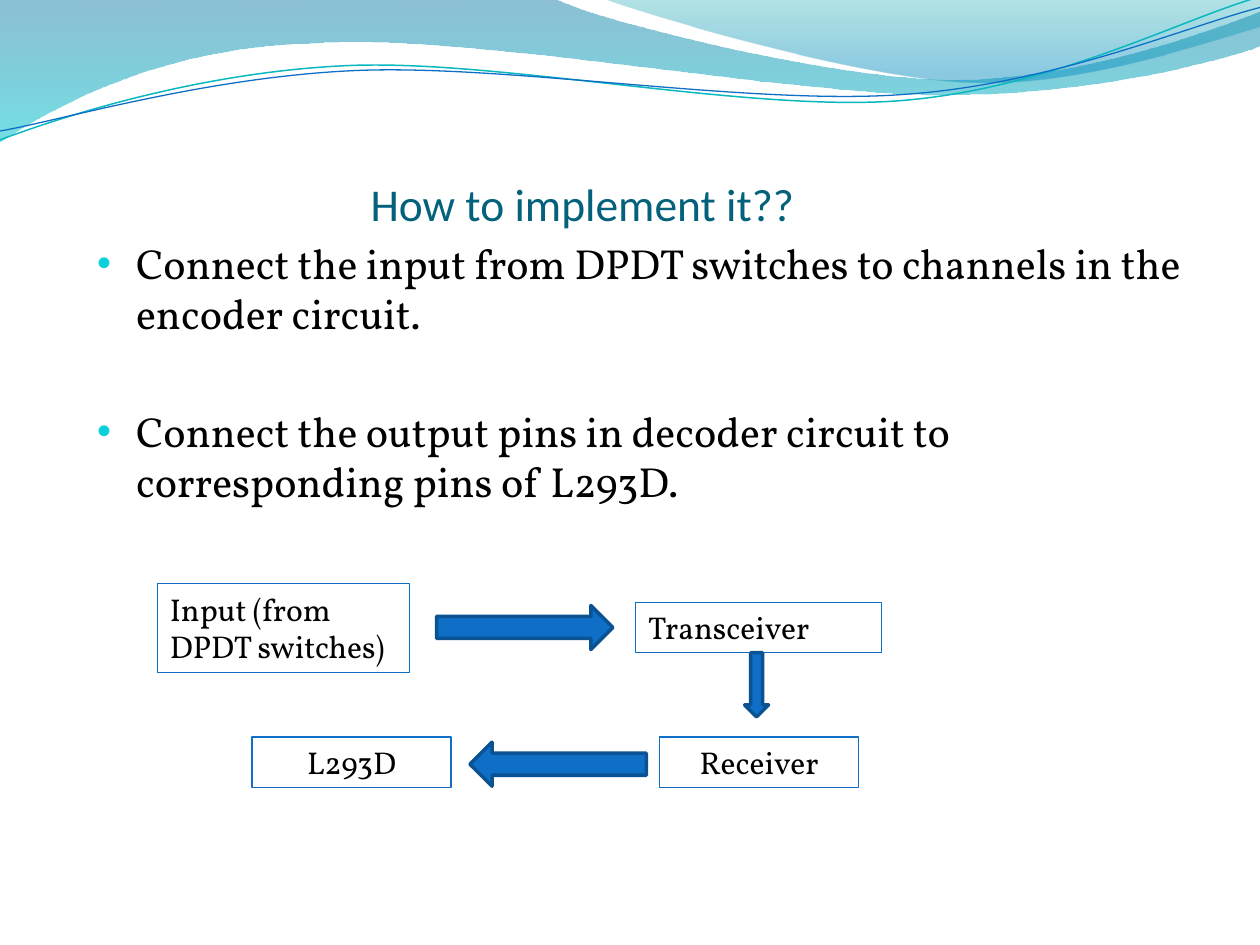
from math import cos, radians, sin

from lxml.etree import SubElement
from pptx import Presentation
from pptx.dml.color import RGBColor
from pptx.enum.shapes import MSO_SHAPE
from pptx.enum.text import MSO_ANCHOR, MSO_AUTO_SIZE, PP_ALIGN
from pptx.oxml.ns import qn
from pptx.util import Inches, Pt

COLORS = {
    "title": "04617B", "text": "000000", "bullet": "0BD0D9",
    "blue": "0F6FC6", "arrow_edge": "0B5292", "teal_line": "0AB8BF",
    "wave_top": "0074A1", "wave_bottom": "00C6CF",
    "sweep_top": "00A1A9", "sweep_bottom": "008BBF",
}
COLS = 200
CELL = Inches(10) // COLS  # square grid cell, 200 columns by 150 rows
TILT = 357.3

# Each path is a start point followed by lines (2 numbers) or Bézier curves (6), in inches.
WAVE = [(0, 0), (4.4, -0.01), (4.76, 0.17, 6.64, 0.63, 7.58, 0.63),
        (8.53, 0.63, 9.58, 0.26, 10, 0.09), (10.01, 0.36),
        (9.83, 0.44, 8.7, 0.76, 7.46, 0.75), (6.22, 0.75, 3.82, 0.28, 2.57, 0.34),
        (1.29, 0.36, 0.46, 0.83, -0.01, 1.13)]
SWEEP = [(4.79, -0.01), (5.09, 0.11, 6.82, 0.62, 7.69, 0.65),
         (8.56, 0.69, 9.61, 0.32, 10, 0.21), (10, 0)]
TEAL_CURVE = [(0, 1.11), (0.48, 0.93, 1.58, 0.57, 2.77, 0.52),
              (3.95, 0.47, 5.93, 0.89, 7.13, 0.8), (8.33, 0.71, 9.38, 0.15, 9.98, -0.02)]
BLUE_CURVE = [(0, 1.04), (0.47, 0.96, 1.64, 0.61, 2.83, 0.56),
              (4.03, 0.51, 5.97, 0.84, 7.17, 0.75), (8.36, 0.67, 9.41, 0.21, 10, 0.06)]


def rgb(name):
    return RGBColor.from_string(COLORS[name])


def grid(box, col, row, cols, rows):
    """Turn cells counted from the corner of box into left, top, width, height."""
    return [round(n * CELL) for n in (box[0] + col, box[1] + row, cols, rows)]


def turn(point, pivot, degrees):
    a = radians(degrees)
    x, y = point[0] - pivot[0], point[1] - pivot[1]
    return pivot[0] + x * cos(a) - y * sin(a), pivot[1] + x * sin(a) + y * cos(a)


def add_path(shapes, path, close=False, pivot=(0, 0), rotation=0):
    """Draw a path; a rotated one is laid out level first, then turned about pivot."""
    points = [turn(seg[i:i + 2], pivot, -rotation)
              for seg in path for i in range(0, len(seg), 2)]
    points = [(Inches(x), Inches(y)) for x, y in points]
    builder = shapes.build_freeform(*points[0], scale=1.0)
    builder.add_line_segments(points[1:], close=close)
    sp = builder.convert_to_shape()
    sp.shadow.inherit = False
    sp.rotation = rotation
    lines = iter(list(sp._element.iter(qn("a:lnTo"))))
    for seg in path[1:]:
        first = next(lines)
        if len(seg) == 6:
            first.tag = qn("a:cubicBezTo")
            for _ in range(2):
                extra = next(lines)
                first.append(extra[0])
                extra.getparent().remove(extra)
    return sp


def add_wave(slide, path, stops):
    """Draw a closed outline with a downward gradient of (position, colour, opacity %)."""
    sp = add_path(slide.shapes, path, close=True)
    sp.line.fill.background()
    sp.fill.gradient()
    sp.fill.gradient_angle = 270
    for stop, (position, color, _) in zip(sp.fill.gradient_stops, stops):
        stop.position = position
        stop.color.rgb = rgb(color)
    for gs, (_, _, opacity) in zip(sp._element.iter(qn("a:gs")), stops):
        SubElement(gs[0], qn("a:alpha"), val=str(opacity * 1000))


def add_banner(slide):
    add_wave(slide, WAVE, [(0, "wave_top", 45), (1, "wave_bottom", 55)])
    add_wave(slide, SWEEP, [(0, "sweep_top", 30), (0.8, "sweep_bottom", 45)])
    curves = slide.shapes.add_group_shape()
    for path, pivot, color, width in (
        (TEAL_CURVE, (4.99, 0.58), "teal_line", 0.85),
        (BLUE_CURVE, (5, 0.59), "blue", 0.75),
    ):
        sp = add_path(curves.shapes, path, pivot=pivot, rotation=TILT)
        sp.fill.background()
        set_line(sp, color, width)


def set_line(sp, color, width):
    sp.line.color.rgb = rgb(color)
    sp.line.width = Pt(width)


def write(p, text, size=18, font="Vollkorn", color="text", align=PP_ALIGN.LEFT):
    p.alignment = align
    r = p.add_run()
    r.text = text
    r.font.size = Pt(size)
    r.font.name = font
    r.font.color.rgb = rgb(color)


def set_insets(tf, left, top, right, bottom):
    tf.margin_left, tf.margin_top = Inches(left), Inches(top)
    tf.margin_right, tf.margin_bottom = Inches(right), Inches(bottom)


def add_title(slide, box):
    title = slide.shapes.title
    title.left, title.top, title.width, title.height = grid(box, 0, 0, *box[2:])
    tf = title.text_frame
    tf.vertical_anchor = MSO_ANCHOR.BOTTOM
    set_insets(tf, 0, 0.05, 0, 0)
    write(tf.paragraphs[0], "How to implement it??", size=26, font="Calibri",
          color="title", align=PP_ALIGN.CENTER)


def set_bullet(p):
    pPr = p._p.get_or_add_pPr()
    pPr.set("marL", str(Inches(0.31)))
    pPr.set("indent", str(-Inches(0.31)))
    bu_color = SubElement(pPr, qn("a:buClr"))
    SubElement(bu_color, qn("a:srgbClr"), val=COLORS["bullet"])
    SubElement(pPr, qn("a:buSzPct"), val="95000")
    SubElement(pPr, qn("a:buFont"), typeface="Arial")
    SubElement(pPr, qn("a:buChar"), char="•")


def add_steps(slide, box):
    tf = slide.shapes.add_textbox(*grid(box, 0, 0, *box[2:])).text_frame
    tf.word_wrap = True
    set_insets(tf, 0.02, 0.05, 0.02, 0.05)
    steps = (
        ("Connect the input from DPDT switches to channels in the encoder circuit.", 4.8),
        ("Connect the output pins in decoder circuit to corresponding pins of L293D.", 38.4),
    )
    for i, (text, gap) in enumerate(steps):
        p = tf.add_paragraph() if i else tf.paragraphs[0]
        p.space_before = Pt(gap)
        set_bullet(p)
        write(p, text, size=24)


def add_block(slide, place, text, align):
    sp = slide.shapes.add_shape(MSO_SHAPE.RECTANGLE, *place)
    sp.shadow.inherit = False
    sp.fill.background()
    set_line(sp, "blue", 0.75)
    tf = sp.text_frame
    tf.word_wrap = True
    tf.auto_size = MSO_AUTO_SIZE.SHAPE_TO_FIT_TEXT
    tf.vertical_anchor = MSO_ANCHOR.TOP
    write(tf.paragraphs[0], text, align=align)


def add_arrow(slide, place, kind, rotation=0):
    sp = slide.shapes.add_shape(kind, *place)
    sp.shadow.inherit = False
    sp.rotation = rotation
    sp.fill.solid()
    sp.fill.fore_color.rgb = rgb("blue")
    set_line(sp, "arrow_edge", 2)


def add_flow(slide, box):
    for text, cells, align in (
        ("Input (from DPDT switches)", (0, 0, 40, 14.2), PP_ALIGN.LEFT),
        ("Transceiver", (75.9, 3, 39, 8), PP_ALIGN.LEFT),
        ("Receiver", (79.7, 24.4, 31.6, 8), PP_ALIGN.CENTER),
        ("L293D", (15, 24.4, 31.6, 8), PP_ALIGN.CENTER),
    ):
        add_block(slide, grid(box, *cells), text, align)
    for kind, cells, rotation in (
        (MSO_SHAPE.RIGHT_ARROW, (44.3, 3.5, 28, 7), 0),
        (MSO_SHAPE.DOWN_ARROW, (93.2, 11, 3.8, 10.2), 0),
        (MSO_SHAPE.RIGHT_ARROW, (49.6, 25.2, 28, 7), 180),
    ):
        add_arrow(slide, grid(box, *cells), kind, rotation)


def main():
    prs = Presentation()
    prs.slide_width, prs.slide_height = Inches(10), Inches(7.5)
    slide = prs.slides.add_slide(prs.slide_layouts[5])
    add_banner(slide)
    add_title(slide, (15, 11.2, 155, 25.4))
    add_steps(slide, (15, 36.7, 178.4, 100))
    add_flow(slide, (25, 92.6))
    prs.save("out.pptx")


if __name__ == "__main__":
    main()
